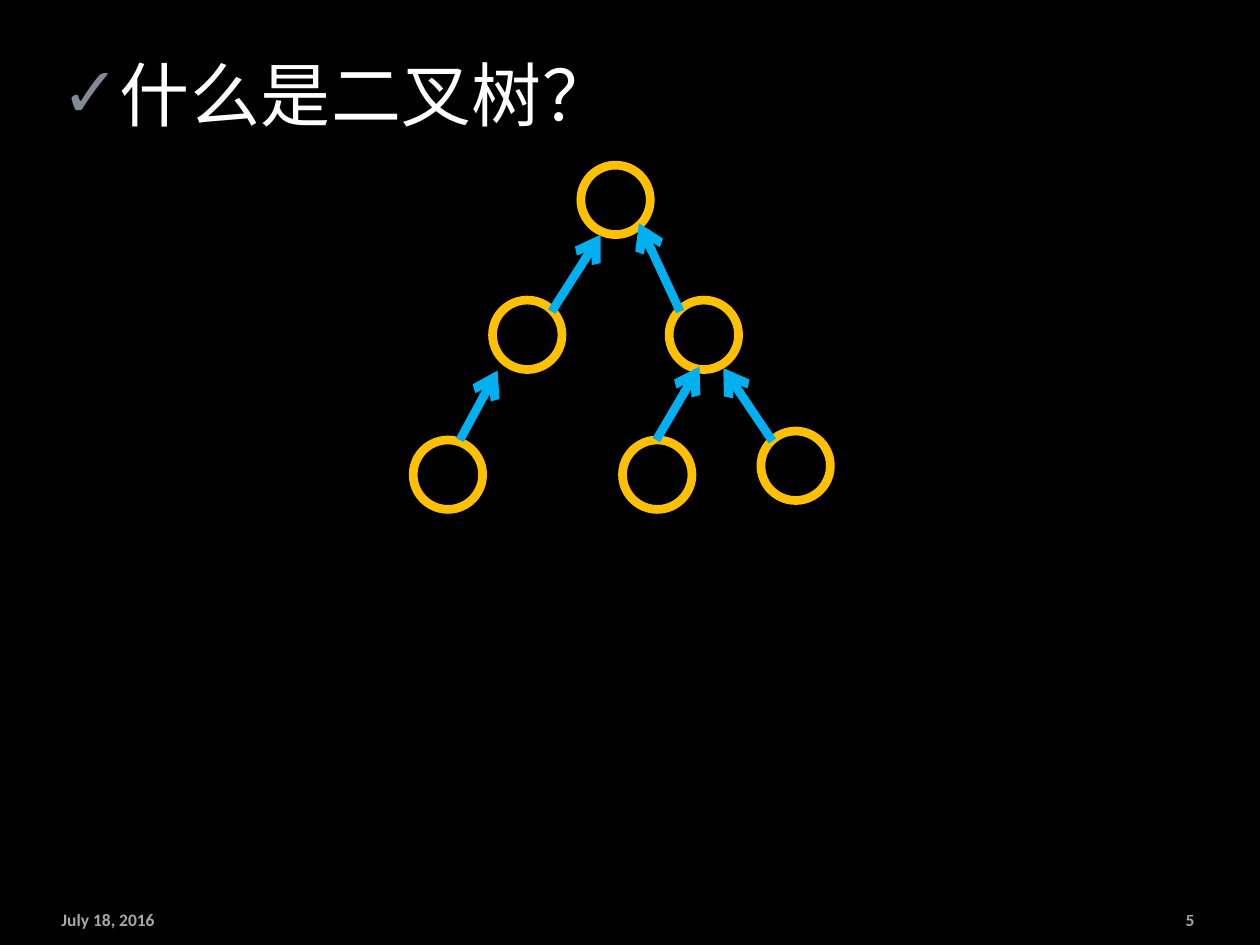
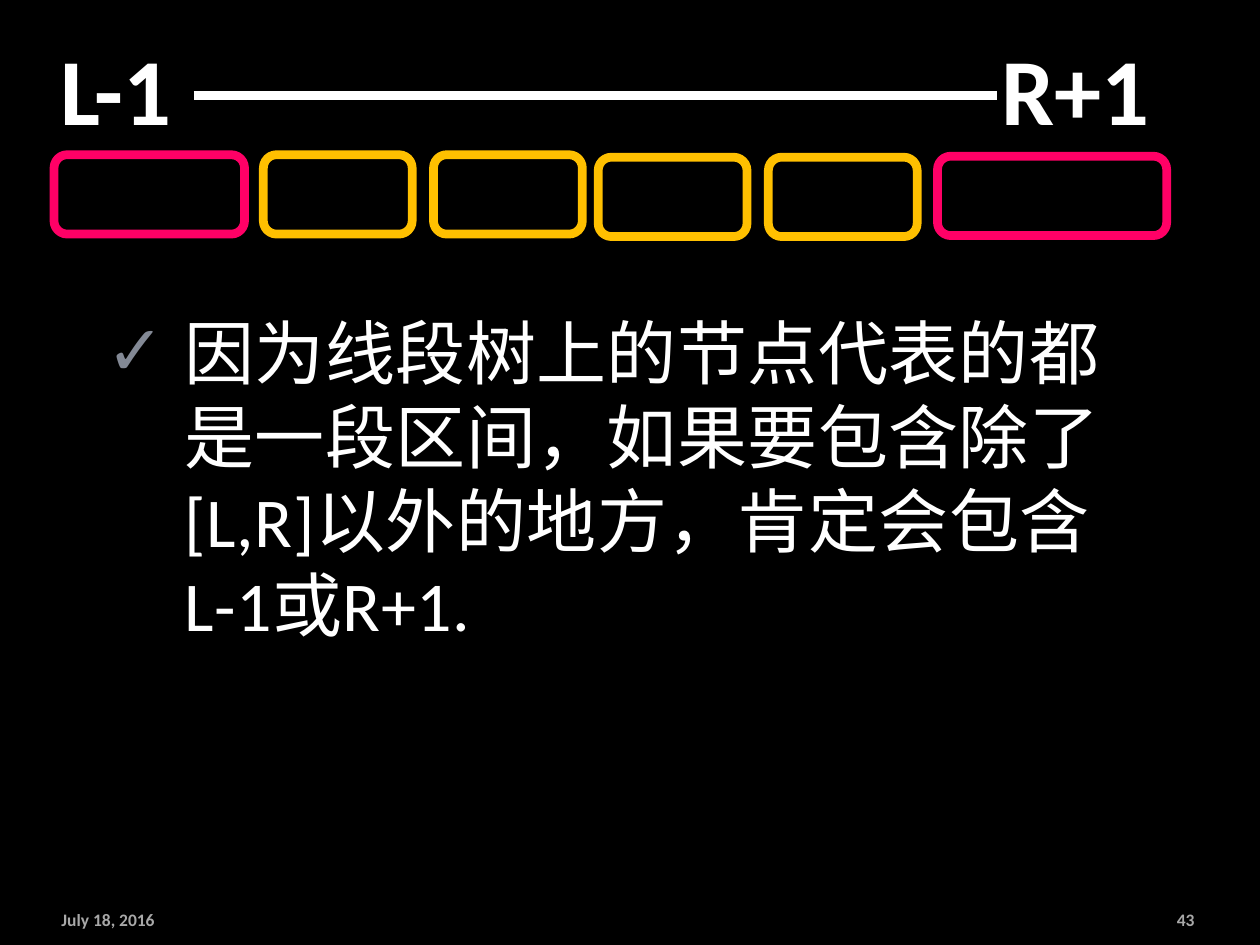
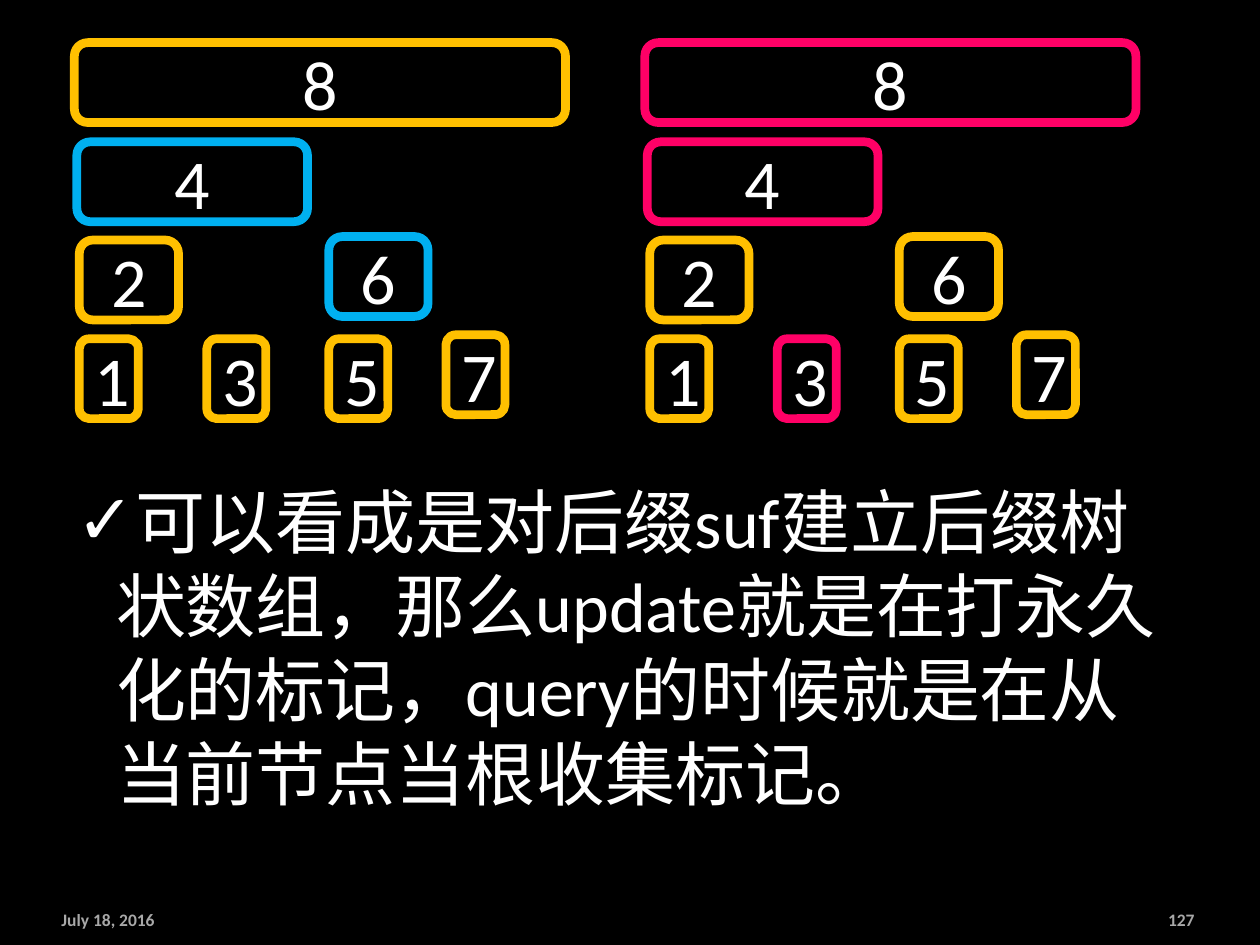
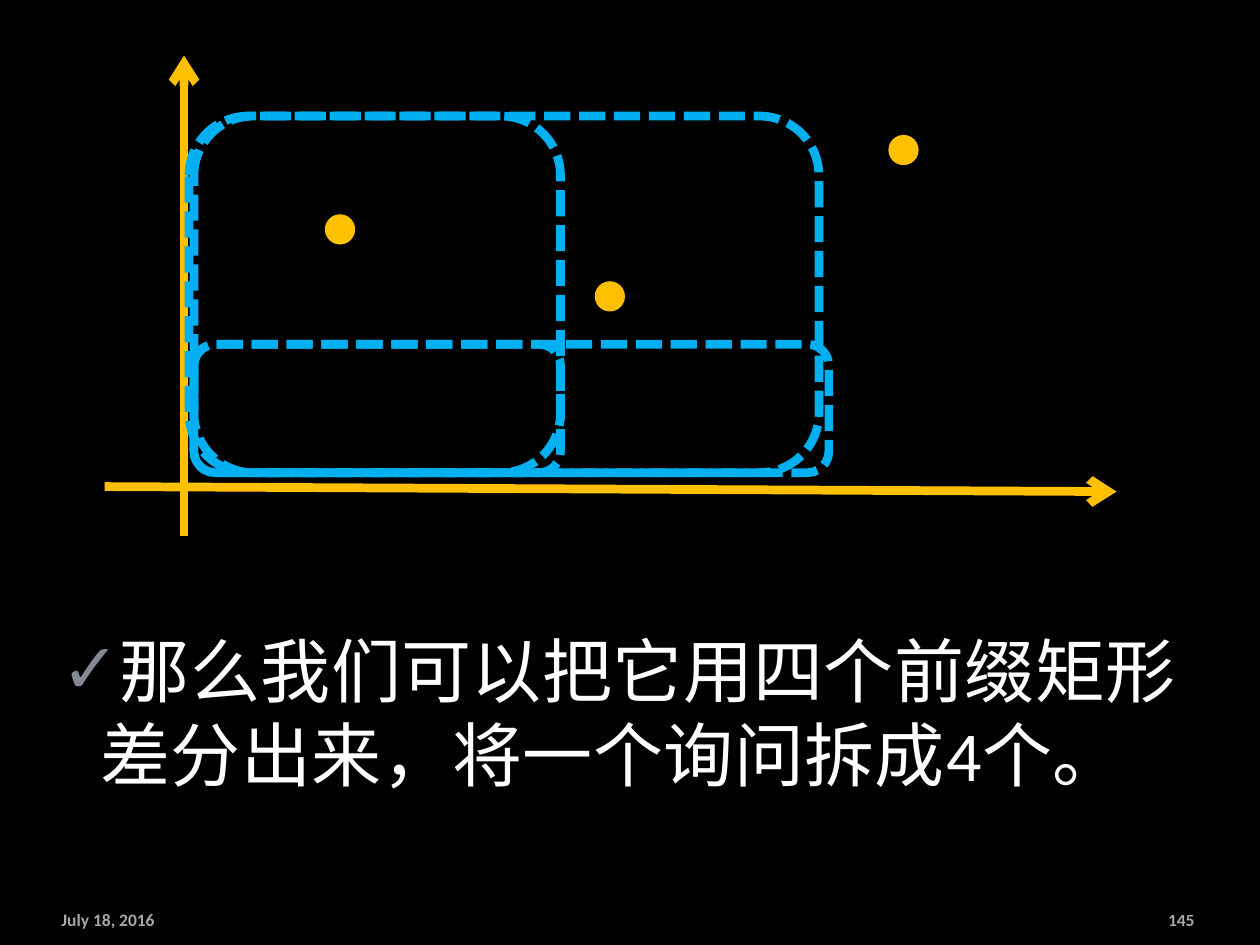
from lxml import etree
from pptx import Presentation
from pptx import util as u
from pptx.dml.color import RGBColor
from pptx.enum import dml, shapes, text
from pptx.oxml.ns import qn

COLORS = {
    "background": "000000",
    "text": "FFFFFF",
    "bullet": "838995",
    "yellow": "FFC000",
    "blue": "00B0F0",
    "pink": "FF0066",
}
FONT = "Calibri"
BODY_SIZE = 40
LINE_WIDTH = u.Pt(5)
DATE = "July 18, 2016"
FOOTER_TOP, FOOTER_HEIGHT = 18.19, 0.69
OVAL = shapes.MSO_SHAPE.OVAL
ROUNDED = shapes.MSO_SHAPE.ROUNDED_RECTANGLE


def color(name):
    return RGBColor.from_string(COLORS[name])


def add_run(paragraph, words, size, bold=False, spacing=None, opacity=None):
    run = paragraph.add_run()
    run.text = words
    run.font.size = u.Pt(size)
    run.font.bold = bold
    run.font.name = FONT
    run.font.color.rgb = color("text")
    properties = run._r.get_or_add_rPr()
    etree.SubElement(properties, qn("a:ea"), typeface=FONT)
    if spacing:
        properties.set("spc", str(int(spacing * 100)))
    if opacity:
        fill_color = properties.find(".//" + qn("a:srgbClr"))
        etree.SubElement(fill_color, qn("a:alpha"), val=str(opacity * 1000))


def add_text_box(slide, box, wrap=True, anchor=text.MSO_ANCHOR.TOP):
    frame = slide.shapes.add_textbox(*map(u.Cm, box)).text_frame
    frame.word_wrap = wrap
    frame.vertical_anchor = anchor
    return frame


def add_bullet(paragraph, indent, color_name):
    properties = paragraph._p.get_or_add_pPr()
    properties.set("marL", str(u.Cm(indent)))
    properties.set("indent", str(-u.Cm(indent)))
    if color_name:
        bullet_color = etree.SubElement(properties, qn("a:buClr"))
        etree.SubElement(bullet_color, qn("a:srgbClr"), val=COLORS[color_name])
    etree.SubElement(properties, qn("a:buFont"), typeface=FONT)
    etree.SubElement(properties, qn("a:buChar"), char="✓")


def add_statement(slide, box, words, indent=0.79, bullet_color="bullet", spacing=0.3):
    """Add one large paragraph with a check mark."""
    paragraph = add_text_box(slide, box).paragraphs[0]
    add_bullet(paragraph, indent, bullet_color)
    add_run(paragraph, words, BODY_SIZE, spacing=spacing)


def add_footer(slide, number):
    parts = [
        (0.99, 4.06, DATE, text.PP_ALIGN.LEFT),
        (21.89, 2.44, str(number), text.PP_ALIGN.RIGHT),
    ]
    for left, width, words, alignment in parts:
        box = (left, FOOTER_TOP, width, FOOTER_HEIGHT)
        paragraph = add_text_box(slide, box, anchor=text.MSO_ANCHOR.MIDDLE).paragraphs[0]
        paragraph.alignment = alignment
        add_run(paragraph, words, 10, bold=True, opacity=65)


def add_outline(slide, kind, box, color_name, label=None, dashed=False):
    shape = slide.shapes.add_shape(kind, *map(u.Cm, box))
    shape.shadow.inherit = False
    shape.fill.background()
    shape.line.color.rgb = color(color_name)
    shape.line.width = LINE_WIDTH
    if dashed:
        shape.line.dash_style = dml.MSO_LINE.SQUARE_DOT
    if label:
        shape.text_frame.vertical_anchor = text.MSO_ANCHOR.MIDDLE
        paragraph = shape.text_frame.paragraphs[0]
        paragraph.alignment = text.PP_ALIGN.CENTER
        add_run(paragraph, label, BODY_SIZE)


def add_dot(slide, left, top, diameter, color_name):
    shape = slide.shapes.add_shape(OVAL, *map(u.Cm, (left, top, diameter, diameter)))
    shape.shadow.inherit = False
    shape.fill.solid()
    shape.fill.fore_color.rgb = color(color_name)
    shape.line.fill.background()


def add_line(slide, origin, start, end, color_name, arrow=True):
    points = [u.Cm(base + offset) for point in (start, end)
              for base, offset in zip(origin, point)]
    connector = slide.shapes.add_connector(shapes.MSO_CONNECTOR.STRAIGHT, *points)
    connector.line.color.rgb = color(color_name)
    connector.line.width = LINE_WIDTH
    if arrow:
        etree.SubElement(connector.line._get_or_add_ln(), qn("a:tailEnd"), type="arrow")
    etree.SubElement(connector._element.spPr, qn("a:effectLst"))


def draw_binary_tree(slide, left, top):
    diameter = 1.4
    nodes = [(3.38, 0), (1.6, 2.72), (5.16, 2.72), (0, 5.54), (4.22, 5.54), (7.01, 5.36)]
    links_to_parent = [
        ((2.79, 2.95), (3.78, 1.4)),
        ((0.94, 5.54), (1.7, 4.14)),
        ((5.38, 2.95), (4.55, 1.17)),
        ((4.9, 5.54), (5.77, 4.06)),
        ((7.24, 5.56), (6.25, 4.09)),
    ]
    for x, y in nodes:
        add_outline(slide, OVAL, (left + x, top + y, diameter, diameter), "yellow")
    for start, end in links_to_parent:
        add_line(slide, (left, top), start, end, "blue")


def draw_segment_row(slide, left, top):
    """Draw the inner segments between the two guard segments."""
    segments = [
        (0, 0, 3.84, "pink"),
        (4.22, 0, 3, "yellow"),
        (7.65, 0, 3, "yellow"),
        (10.97, 0.05, 3, "yellow"),
        (14.4, 0.05, 3, "yellow"),
        (17.81, 0.03, 4.62, "pink"),
    ]
    for x, y, width, color_name in segments:
        add_outline(slide, ROUNDED, (left + x, top + y, width, 1.6), color_name)


def draw_range_header(slide, left, top):
    add_line(slide, (left, top), (3.15, 1.42), (19.33, 1.42), "text", arrow=False)
    for x, width, label in [(0, 3.15, "L-1"), (19.08, 3.68, "R+1")]:
        frame = add_text_box(slide, (left + x, top, width, 2.57), wrap=False)
        frame.auto_size = text.MSO_AUTO_SIZE.SHAPE_TO_FIT_TEXT
        frame.paragraphs[0].alignment = text.PP_ALIGN.CENTER
        add_run(frame.paragraphs[0], label, 54, bold=True)


def draw_indexed_tree(slide, left, top, highlight, highlighted):
    nodes = {
        1: (0.1, 5.97, 1.19),
        2: (0.1, 3.98, 2),
        3: (2.67, 5.97, 1.19),
        5: (5.13, 5.97, 1.19),
        6: (5.13, 3.91, 2),
        7: (7.49, 5.89, 1.19),
        4: (0.05, 2, 4.65),
        8: (0, 0, 9.9),
    }
    for number, (x, y, width) in nodes.items():
        color_name = highlight if number in highlighted else "yellow"
        add_outline(slide, ROUNDED, (left + x, top + y, width, 1.61), color_name, str(number))


def draw_prefix_plane(slide, left, top):
    """Draw the axes, the points and the four prefix rectangles."""
    axes = [((1.6, 9.68), (1.6, 0)), ((0, 8.69), (20.4, 8.79))]
    dots = [(4.44, 3.2), (15.8, 1.6), (9.88, 4.55)]
    rectangles = [
        (1.8, 1.22, 12.6, 7.19),
        (1.8, 5.82, 12.8, 2.59),
        (1.7, 1.22, 7.49, 7.19),
        (1.8, 5.82, 7.39, 2.59),
    ]
    for start, end in axes:
        add_line(slide, (left, top), start, end, "yellow")
    for x, y in dots:
        add_dot(slide, left + x, top + y, 0.61, "yellow")
    for x, y, width, height in rectangles:
        add_outline(slide, ROUNDED, (left + x, top + y, width, height), "blue", dashed=True)


def build_binary_tree_slide(slide):
    add_statement(slide, (0.99, 0.91, 23.52, 16.26), "什么是二叉树？")
    draw_binary_tree(slide, 8.33, 3.33)


def build_range_slide(slide):
    words = ("因为线段树上的节点代表的都是一段区间，如果要包含除了[L,R]以外的地方，"
             "肯定会包含L-1或R+1.")
    add_statement(slide, (1.9, 6.12, 21.79, 10.39), words, indent=1.57)
    draw_segment_row(slide, 1.09, 3.12)
    draw_range_header(slide, 0.76, 0.51)


def build_suffix_slide(slide):
    words = ("可以看成是对后缀suf建立后缀树状数组，那么update就是在打永久化的标记，"
             "query的时候就是在从当前节点当根收集标记。")
    draw_indexed_tree(slide, 1.5, 0.86, "blue", {4, 6})
    add_statement(slide, (1.3, 9.53, 22.4, 7.09), words, bullet_color=None, spacing=None)
    draw_indexed_tree(slide, 13, 0.86, "pink", {3, 4, 8})


def build_prefix_slide(slide):
    words = "那么我们可以把它用四个前缀矩形差分出来，将一个询问拆成4个。"
    add_statement(slide, (0.99, 12.52, 23.11, 4.67), words)
    draw_prefix_plane(slide, 2.11, 1.12)


def main():
    presentation = Presentation()
    presentation.slide_width, presentation.slide_height = u.Cm(25.4), u.Cm(19.05)
    background = presentation.slide_master.background.fill
    background.solid()
    background.fore_color.rgb = color("background")
    pages = [
        (5, build_binary_tree_slide),
        (43, build_range_slide),
        (127, build_suffix_slide),
        (145, build_prefix_slide),
    ]
    for number, build in pages:
        slide = presentation.slides.add_slide(presentation.slide_layouts[6])
        build(slide)
        add_footer(slide, number)
    presentation.save("out.pptx")


if __name__ == "__main__":
    main()
